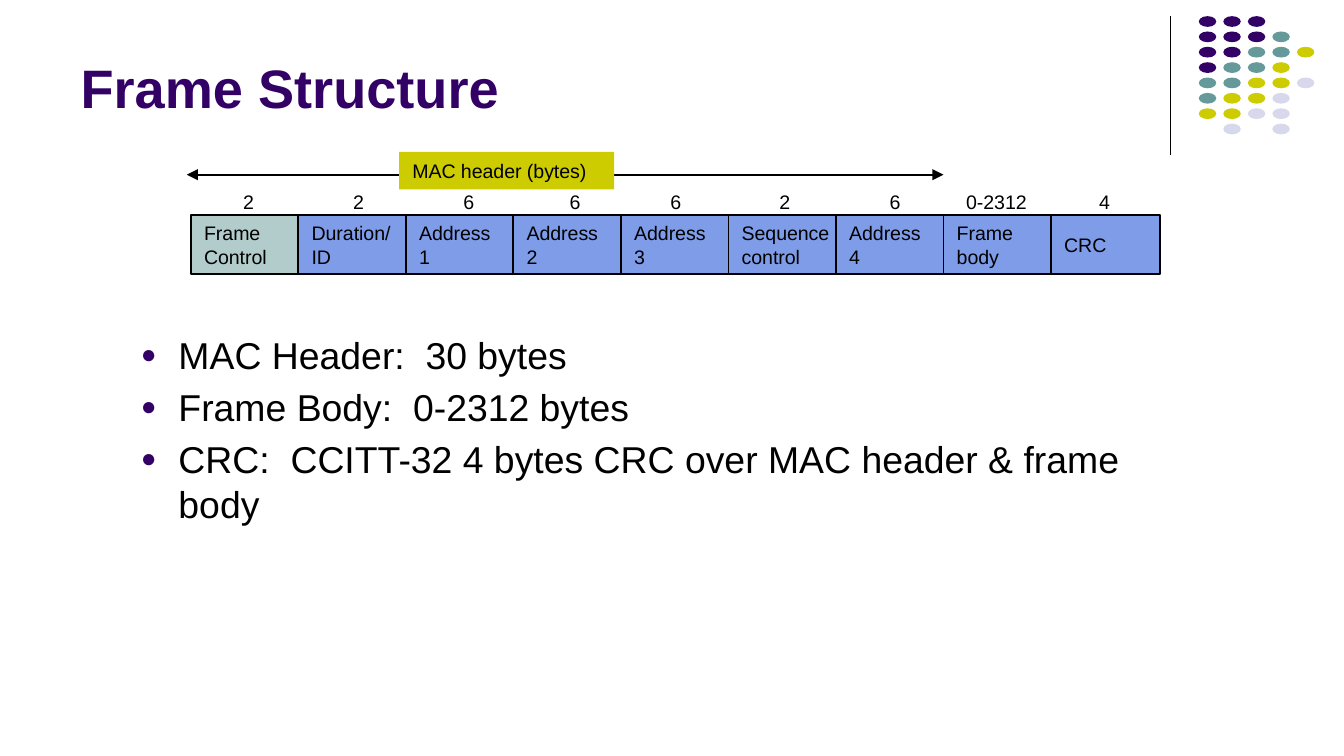
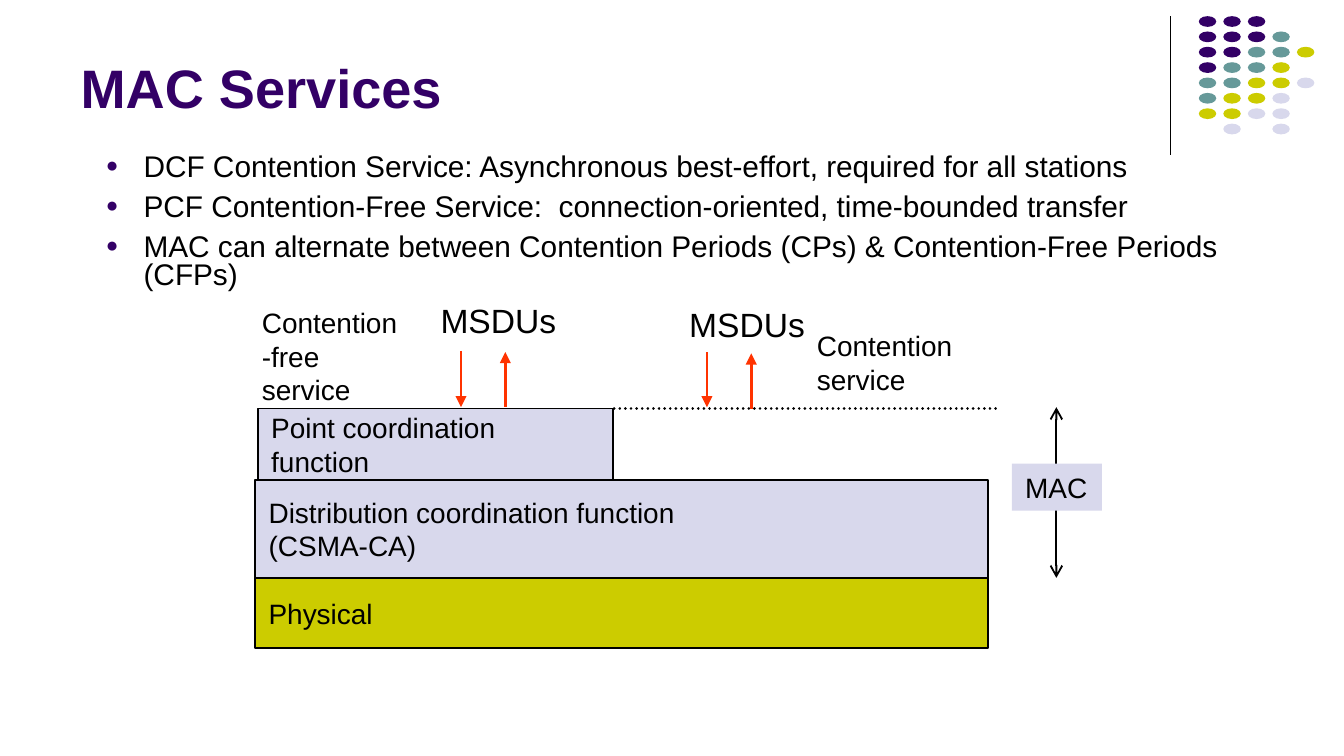
from dataclasses import dataclass
from lxml.etree import SubElement
from pptx import Presentation
from pptx.dml.color import RGBColor
from pptx.enum.dml import MSO_LINE
from pptx.enum.shapes import MSO_CONNECTOR, MSO_SHAPE
from pptx.enum.text import MSO_ANCHOR, MSO_AUTO_SIZE, PP_ALIGN
from pptx.oxml.ns import qn
from pptx.util import Inches, Pt


@dataclass(frozen=True)
class Theme:
    font: str = "Arial"
    ink: str = "000000"
    plum: str = "330066"
    teal: str = "669999"
    lime: str = "CCCC00"
    mist: str = "D8D8EC"
    blue: str = "7E9CE8"
    sage: str = "B1CCCB"
    red: str = "FF3300"
    head: float = 29
    body: float = 20
    lead: float = 18
    list: float = 16
    label: float = 15
    small: float = 10.5


THEME = Theme()

# Corner motif: one letter per dot, keyed by colour
DOTS = ("PPP", "PPPT", "PPTTL", "PTTL", "TTLLM", "TLLM", "LLMM", " M M")
TINTS = {"P": THEME.plum, "T": THEME.teal, "L": THEME.lime, "M": THEME.mist}


def rgb(code):
    return RGBColor.from_string(code)


def bullet(para):
    props = para._p.get_or_add_pPr()
    props.set("marL", str(Inches(0.28)))
    props.set("indent", str(-Inches(0.28)))
    tint = SubElement(props, qn("a:buClr"))
    SubElement(tint, qn("a:srgbClr"), val=THEME.plum)
    SubElement(props, qn("a:buSzPct"), val="70000")
    SubElement(props, qn("a:buFont"), typeface=THEME.font)
    SubElement(props, qn("a:buChar"), char="●")


def write(frame, text, size=THEME.label, color=THEME.ink, bold=False,
          anchor=MSO_ANCHOR.MIDDLE, wrap=False, dots=False, gap=0, pitch=None):
    """Fill a text frame, one paragraph for each line of text."""
    frame.auto_size = MSO_AUTO_SIZE.NONE
    frame.word_wrap = wrap
    frame.vertical_anchor = anchor
    for i, line in enumerate(text.split("\n")):
        para = frame.add_paragraph() if i else frame.paragraphs[0]
        para.alignment = PP_ALIGN.LEFT
        if dots:
            bullet(para)
        if i and gap:
            para.space_before = Pt(gap)
        if pitch:
            para.line_spacing = pitch
        run = para.add_run()
        run.text = line
        font = run.font
        font.name, font.size, font.bold = THEME.font, Pt(size), bold
        font.color.rgb = rgb(color)


class Deck:
    def __init__(self, theme):
        self.theme = theme
        self.prs = Presentation()
        self.prs.slide_width = Inches(10)
        self.prs.slide_height = Inches(10 * 9 / 16)
        self.slide = None

    def page(self, title):
        """Start a slide with its title, rule and corner dots."""
        self.slide = self.prs.slides.add_slide(self.prs.slide_layouts[5])
        self.line(8.71, 0.12, 8.71, 1.15, width=0.75)
        for row, marks in enumerate(DOTS):
            for col, mark in enumerate(marks):
                if mark in TINTS:
                    self.shape(8.92 + col * 0.73 / 4, 0.12 + row * 0.8 / 7,
                               0.13, 0.08, TINTS[mark], kind=MSO_SHAPE.OVAL)
        head = self.slide.shapes.title
        head.left, head.top = Inches(0.5), Inches(0.1)
        head.width, head.height = Inches(8.25), Inches(0.84)
        write(head.text_frame, title, size=self.theme.head, bold=True,
              color=self.theme.plum, anchor=MSO_ANCHOR.BOTTOM, wrap=True)

    def shape(self, x, y, w, h, fill, text="", edge=False,
              kind=MSO_SHAPE.RECTANGLE, **style):
        item = self.slide.shapes.add_shape(
            kind, Inches(x), Inches(y), Inches(w), Inches(h))
        item.shadow.inherit = False
        item.fill.solid()
        item.fill.fore_color.rgb = rgb(fill)
        if edge:
            item.line.color.rgb = rgb(self.theme.ink)
            item.line.width = Pt(1)
        else:
            item.line.fill.background()
        if text:
            write(item.text_frame, text, **style)

    def text(self, x, y, w, h, text, **style):
        item = self.slide.shapes.add_textbox(
            Inches(x), Inches(y), Inches(w), Inches(h))
        write(item.text_frame, text, **style)

    def points(self, x, y, w, h, text, **style):
        self.text(x, y, w, h, text, dots=True, wrap=True,
                  anchor=MSO_ANCHOR.TOP, **style)

    def line(self, x1, y1, x2, y2, color=THEME.ink, width=1,
             head=None, tail=None, dash=None):
        item = self.slide.shapes.add_connector(
            MSO_CONNECTOR.STRAIGHT,
            Inches(x1), Inches(y1), Inches(x2), Inches(y2))
        item.line.color.rgb = rgb(color)
        item.line.width = Pt(width)
        props = item.line._get_or_add_ln()
        if dash:
            item.line.dash_style = dash
            props.set("cap", "rnd")
        for tag, end in (("a:headEnd", head), ("a:tailEnd", tail)):
            if end:
                SubElement(props, qn(tag), type=end)
        SubElement(item._element.spPr, qn("a:effectLst"))


def frame_page(deck):
    look = deck.theme
    deck.page("Frame Structure")

    # Fields of the frame, with the byte count above each
    names = ("Frame\nControl", "Duration/\nID", "Address\n1", "Address\n2",
             "Address\n3", "Sequence\ncontrol", "Address\n4", "Frame\nbody", "CRC")
    for i, name in enumerate(names):
        deck.shape(1.42 + 0.8 * i, 1.6, 0.81, 0.44, look.blue if i else look.sage,
                   name, edge=True, size=look.small)
    sizes = ((1.71, "2"), (2.53, "2"), (3.35, "6"), (4.14, "6"), (4.89, "6"),
             (5.7, "2"), (6.52, "6"), (7.09, "0-2312"), (8.08, "4"))
    for x, size in sizes:
        deck.text(x, 1.36, 0.28 if len(size) == 1 else 0.66, 0.28, size,
                  size=look.small)

    # Header span
    for start, end in ((3.2, 1.39), (4.27, 7.02)):
        deck.line(start, 1.3, end, 1.3, tail="triangle")
    deck.shape(2.97, 1.13, 1.6, 0.28, look.lime, "MAC header (bytes)",
               size=look.small)

    deck.points(0.95, 2.42, 8.16, 1.5,
                "MAC Header:  30 bytes\n"
                "Frame Body:  0-2312 bytes\n"
                "CRC:  CCITT-32 4 bytes CRC over MAC header & frame body",
                size=look.body, gap=4)


def service_page(deck):
    look = deck.theme
    deck.page("MAC Services")
    deck.points(0.69, 1.1, 8.68, 1.11,
                "DCF Contention Service: Asynchronous best-effort, "
                "required for all stations\n"
                "PCF Contention-Free Service:  connection-oriented, "
                "time-bounded transfer\n"
                "MAC can alternate between Contention Periods (CPs) & "
                "Contention-Free Periods (CFPs)",
                size=look.list, gap=6, pitch=0.8)

    # Extent of the MAC layer
    deck.line(7.86, 3.03, 7.86, 4.3, head="arrow", tail="arrow")
    deck.shape(7.53, 3.45, 0.67, 0.35, look.mist, "MAC")

    # Layer stack
    deck.shape(1.9, 4.3, 5.45, 0.52, look.lime, "Physical", edge=True)
    deck.shape(1.9, 3.57, 5.45, 0.73, look.mist,
               "Distribution coordination function\n(CSMA-CA)", edge=True)
    deck.shape(1.92, 3.04, 2.64, 0.53, look.mist,
               "Point coordination\nfunction", edge=True)
    deck.line(4.57, 3.04, 7.41, 3.04, width=1.5, dash=MSO_LINE.ROUND_DOT)

    # Service names
    deck.text(1.85, 2.22, 1.23, 0.86, "Contention-free service", wrap=True)
    deck.text(5.98, 2.39, 1.5, 0.61, "Contention service", wrap=True)

    # Data units in and out
    for x, y, arrow, top in ((3.18, 2.18, 3.43, 2.61), (5.03, 2.21, 5.26, 2.62)):
        deck.text(x, y, 1.07, 0.41, "MSDUs", size=look.lead,
                  anchor=MSO_ANCHOR.TOP)
        deck.line(arrow, top, arrow, 3.03, look.red, 1.5, tail="triangle")
        deck.line(arrow + 0.33, top + 0.01, arrow + 0.33, top + 0.42,
                  look.red, 1.5, head="triangle")


def main():
    deck = Deck(THEME)
    frame_page(deck)
    service_page(deck)
    deck.prs.save("out.pptx")


if __name__ == "__main__":
    main()
